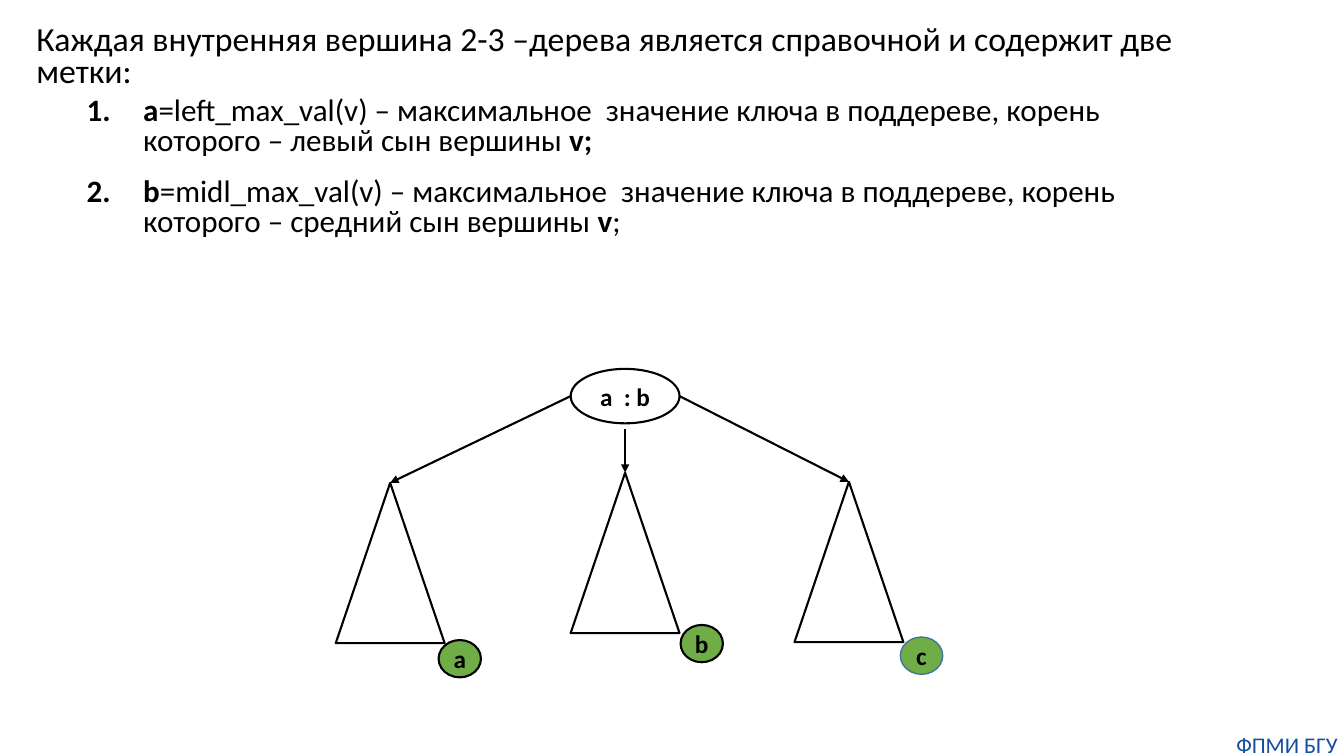
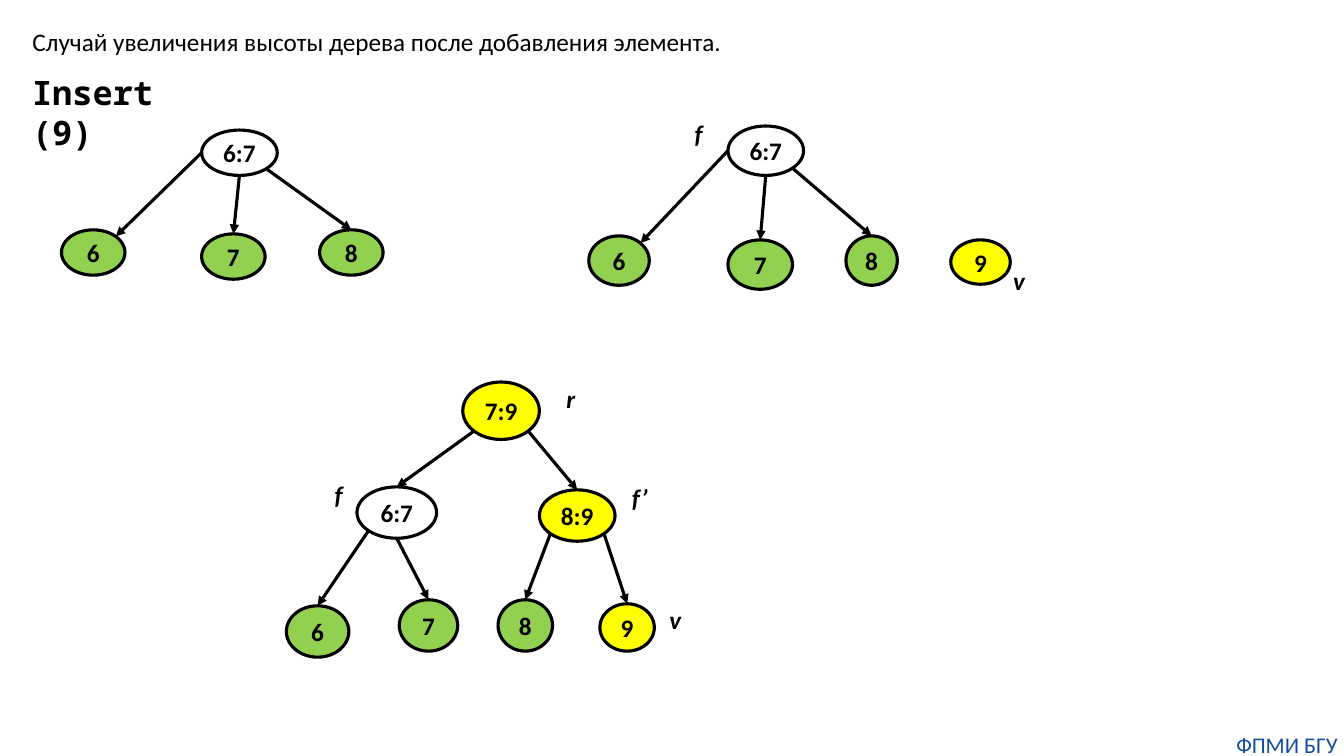
import pptx
import pptx.util
import pptx.dml.color
import pptx.enum.shapes
import pptx.enum.text
import pptx.oxml
import pptx.oxml.ns

PX = 9144  # 100 px to the inch
SIZE = (1333, 750)
FONT, MONO = "Calibri", "Noto Sans Mono"
INK = {"black": "000000", "blue": "144E9D", "edge": "43739E", "leaf": "70AD47",
       "green": "92D050", "yellow": "FFFF00"}
KIND = pptx.enum.shapes.MSO_SHAPE
LEFT, MID = pptx.enum.text.PP_ALIGN.LEFT, pptx.enum.text.PP_ALIGN.CENTER
DIAG = 0.71
SITES = {"N": (0, -1), "S": (0, 1), "W": (-1, 0), "E": (1, 0),
         "NE": (DIAG, -DIAG), "SW": (-DIAG, DIAG), "SE": (DIAG, DIAG)}

FOOT = ("ФПМИ БГУ", (1220, 725, 113, 27))

MARKS = {
    "title": "Каждая внутренняя вершина 2-3 –дерева является справочной и содержит две метки:",
    "box": (26, 20, 1190, 72),
    "size": 24.1,
    "list": [
        [("а", True),
         ("=left_max_val(v) – максимальное  значение ключа в поддереве, "
          "корень которого – левый сын вершины ", False),
         ("v;", True)],
        [("b", True),
         ("=midl_max_val(v) – максимальное  значение ключа в поддереве, "
          "корень которого – средний сын вершины ", False),
         ("v", True), (";", False)],
    ],
    "area": (26, 92, 1190, 152),
    "root": ("a  : b", (566, 366, 108, 54)),
    # triangle left and top, root site, gap below the root
    "trees": [(333, 479, "W", 0), (566, 469, "S", 6), (788, 478, "E", 0)],
    "tree": (108, 159),
    # label, left, top, line colour, line width
    "keys": [("a", 435, 635, "black", 1.5), ("b", 675, 620, "black", 1.5),
             ("c", 893, 632, "edge", 1)],
    "key": (42, 37),
}

GROW = {
    "title": "Случай увеличения высоты дерева после добавления элемента.",
    "box": (22, 21, 717, 40),
    "size": 18,
    "call": ("Insert (9)", (22, 66, 210, 50)),
    # nodes: name -> label, fill, box; edges: parent, site, child, site
    "trees": [
        {"nodes": {"f": ("6:7", None, (200, 129, 75, 45)),
                   "6": ("6", "green", (61, 228, 63, 45)),
                   "7": ("7", "green", (200, 232, 63, 45)),
                   "8": ("8", "green", (317, 228, 63, 45))},
         "edges": ["f W 6 NE", "f S 7 N", "f SE 8 N"],
         "tags": []},
        {"nodes": {"f": ("6:7", None, (722, 125, 75, 49)),
                   "6": ("6", "green", (584, 234, 60, 49)),
                   "7": ("7", "green", (722, 238, 64, 49)),
                   "8": ("8", "green", (839, 234, 51, 49)),
                   "v": ("9", "yellow", (943, 238, 59, 44))},
         "edges": ["f W 6 NE", "f S 7 N", "f SE 8 N"],
         "tags": [("f", 679, 112), ("v", 995, 258)]},
        {"nodes": {"r": ("7:9", "yellow", (459, 379, 76, 57)),
                   "f": ("6:7", None, (354, 483, 79, 51)),
                   "g": ("8:9", "yellow", (535, 486, 75, 51)),
                   "6": ("6", "green", (284, 601, 62, 51)),
                   "7": ("7", "green", (396, 595, 58, 51)),
                   "8": ("8", "green", (494, 595, 54, 51)),
                   "v": ("9", "yellow", (595, 599, 54, 47))},
         "edges": ["r SW f N", "r SE g N", "f SW 6 N", "f S 7 N",
                   "g SW 8 N", "g SE v N"],
         "tags": [("r", 552, 375), ("f", 322, 471), ("f’", 617, 474),
                  ("v", 654, 595)]},
    ],
}


def emu(*nums):
    return [round(n * PX) for n in nums]


def tint(name):
    return pptx.dml.color.RGBColor.from_string(INK[name])


def write(shape, text, size=18, bold=False, slant=False, font=FONT, ink="black",
          align=LEFT, anchor="TOP", wrap=True, inset=None, lead=None,
          before=0, after=0):
    """Fill a shape with a string, or with paragraphs given as (text, bold) runs."""
    frame = shape.text_frame
    frame.word_wrap = wrap
    frame.auto_size = pptx.enum.text.MSO_AUTO_SIZE.NONE
    frame.vertical_anchor = pptx.enum.text.MSO_ANCHOR[anchor]
    if inset is not None:
        frame.margin_left = frame.margin_right = inset
        frame.margin_top = frame.margin_bottom = inset
    paras = [[(text, bold)]] if isinstance(text, str) else text
    for i, runs in enumerate(paras):
        para = frame.add_paragraph() if i else frame.paragraphs[0]
        para.alignment = align
        para.line_spacing = lead
        para.space_before = pptx.util.Pt(before)
        para.space_after = pptx.util.Pt(after)
        for part, heavy in runs:
            run = para.add_run()
            run.text = part
            face = run.font
            face.name, face.size = font, pptx.util.Pt(size)
            face.bold, face.italic = heavy, slant
            face.color.rgb = tint(ink)
    return frame


def place(shape, box):
    shape.left, shape.top, shape.width, shape.height = emu(*box)
    return shape


def label(slide, text, box, **form):
    write(slide.shapes.add_textbox(*emu(*box)), text, **form)


def draw(slide, kind, box, fill=None, line="black", width=1.5, text=None):
    shape = slide.shapes.add_shape(kind, *emu(*box))
    shape.shadow.inherit = False
    if fill:
        shape.fill.solid()
        shape.fill.fore_color.rgb = tint(fill)
    else:
        shape.fill.background()
    shape.line.color.rgb = tint(line)
    shape.line.width = pptx.util.Pt(width)
    if text:
        write(shape, text, bold=True, align=MID, anchor="MIDDLE", wrap=False)


def spot(box, site):
    """Point on the rim of a box's ellipse in a compass direction."""
    x, y, w, h = box
    dx, dy = SITES[site]
    return x + w / 2 * (1 + dx), y + h / 2 * (1 + dy)


def arrow(slide, start, end, width):
    link = slide.shapes.add_connector(
        pptx.enum.shapes.MSO_CONNECTOR.STRAIGHT, *emu(*start, *end))
    link.line.color.rgb = tint("black")
    link.line.width = pptx.util.Pt(width)
    make = pptx.oxml.ns.qn
    head = link.line._get_or_add_ln().makeelement(make("a:tailEnd"), {"type": "triangle"})
    link.line._get_or_add_ln().append(head)
    props = link._element.spPr
    props.append(props.makeelement(make("a:effectLst"), {}))


def start(deck, layout, data, **form):
    """Add a slide with its title and the shared footer."""
    slide = deck.slides.add_slide(deck.slide_layouts[layout])
    write(place(slide.shapes.title, data["box"]), data["title"],
          size=data["size"], **form)
    label(slide, *FOOT, size=16, ink="blue", align=MID, inset=0)
    return slide


def number(frame):
    for para in frame.paragraphs:
        para.level = 1
        props = para._p.get_or_add_pPr()
        props.set("marL", str(emu(106)[0]))
        props.set("indent", str(emu(-56)[0]))
        props.append(props.makeelement(
            pptx.oxml.ns.qn("a:buAutoNum"), {"type": "arabicPeriod"}))


def marks(deck):
    slide = start(deck, 1, MARKS, lead=0.8)
    body = place(slide.placeholders[1], MARKS["area"])
    number(write(body, MARKS["list"], size=22.2, lead=0.8, before=5, after=10))
    text, root = MARKS["root"]
    draw(slide, KIND.OVAL, root, text=text)
    for x, y, site, gap in MARKS["trees"]:
        box = (x, y, *MARKS["tree"])
        draw(slide, KIND.ISOSCELES_TRIANGLE, box)
        left, top = spot(root, site)
        arrow(slide, (left, top + gap), spot(box, "N"), 1.5)
    for text, x, y, line, width in MARKS["keys"]:
        draw(slide, KIND.OVAL, (x, y, *MARKS["key"]), "leaf", line, width, text)


def grow(deck):
    slide = start(deck, 5, GROW)
    label(slide, *GROW["call"], size=24, bold=True, font=MONO)
    for tree in GROW["trees"]:
        nodes = tree["nodes"]
        for text, fill, box in nodes.values():
            draw(slide, KIND.OVAL, box, fill, width=2.25, text=text)
        for edge in tree["edges"]:
            top, out, low, into = edge.split()
            arrow(slide, spot(nodes[top][2], out), spot(nodes[low][2], into), 2.25)
        for text, x, y in tree["tags"]:
            label(slide, text, (x, y, 37, 40), bold=True, slant=True)


def main():
    deck = pptx.Presentation()
    deck.slide_width, deck.slide_height = emu(*SIZE)
    marks(deck)
    grow(deck)
    deck.save("out.pptx")


if __name__ == "__main__":
    main()
